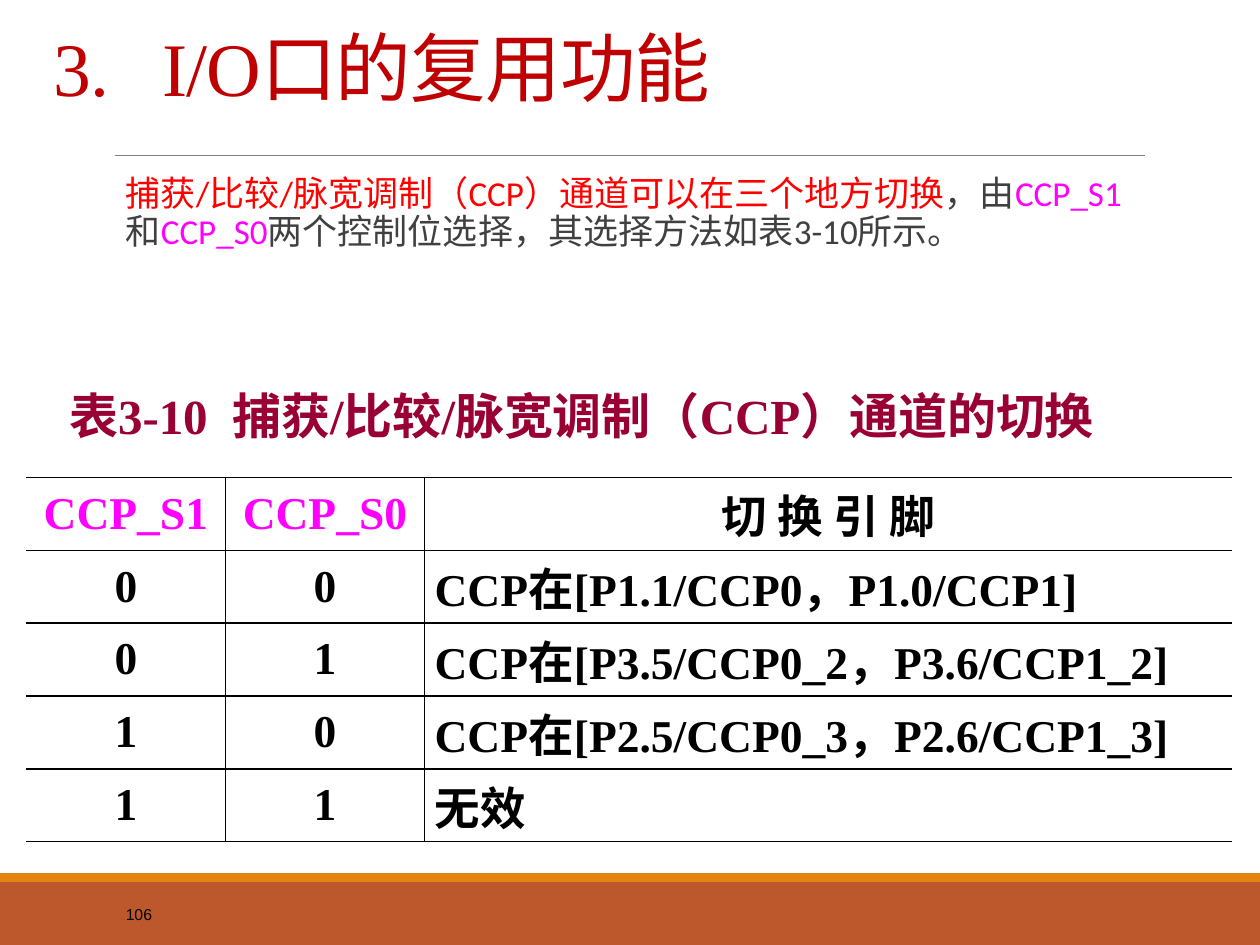
from lxml.etree import SubElement
from pptx import Presentation
from pptx.dml.color import RGBColor
from pptx.enum.shapes import MSO_CONNECTOR as Connector, MSO_SHAPE as Preset
from pptx.enum.text import MSO_ANCHOR as Anchor, PP_ALIGN as Align
from pptx.oxml.ns import qn
from pptx.util import Inches, Pt

COLORS = {
    "band": "BD582C", "stripe": "E48312", "rule": "808080",
    "title": "C00000", "caption": "990033", "body": "404040",
    "red": "FF0000", "magenta": "FF00FF", "black": "000000",
}
SERIF = "Times New Roman"
HEADERS = ["CCP_S1", "CCP_S0", "切 换 引 脚"]
PINS = [
    "CCP在[P1.1/CCP0，P1.0/CCP1]",
    "CCP在[P3.5/CCP0_2，P3.6/CCP1_2]",
    "CCP在[P2.5/CCP0_3，P2.6/CCP1_3]",
    "无效",
]


def rgb(name):
    return RGBColor.from_string(COLORS[name])


def add_run(paragraph, text, size, font, color, bold=False):
    run = paragraph.add_run()
    run.text = text
    run.font.size = Pt(size)
    run.font.name = font
    run.font.bold = bold
    run.font.color.rgb = rgb(color)
    return run


def add_text(slide, box, anchor, side_insets=(0.1, 0.1)):
    shape = slide.shapes.add_textbox(*map(Inches, box))
    frame = shape.text_frame
    frame.word_wrap = True
    frame.vertical_anchor = anchor
    frame.margin_left, frame.margin_right = map(Inches, side_insets)
    return frame.paragraphs[0]


def add_band(slide, top, height, color):
    shape = slide.shapes.add_shape(
        Preset.RECTANGLE, 0, Inches(top), Inches(10), Inches(height))
    shape.shadow.inherit = False
    shape.fill.solid()
    shape.fill.fore_color.rgb = rgb(color)
    shape.line.fill.background()


def add_rule(slide):
    line = slide.shapes.add_connector(
        Connector.STRAIGHT, Inches(0.91), Inches(1.23), Inches(9.09), Inches(1.23))
    line.line.color.rgb = rgb("rule")
    line.line.width = Pt(0.5)
    SubElement(line._element.spPr, qn("a:effectLst"))


def set_borders(cell, visible):
    properties = cell._tc.get_or_add_tcPr()
    for side in "LRTB":
        line = SubElement(properties, qn(f"a:ln{side}"), w=str(Pt(1)))
        if side in visible:
            fill = SubElement(line, qn("a:solidFill"))
            SubElement(fill, qn("a:srgbClr"), val=COLORS["black"])
        else:
            SubElement(line, qn("a:noFill"))


def fill_cell(cell, text, color, align, borders):
    set_borders(cell, borders)
    cell.fill.background()
    cell.vertical_anchor = Anchor.MIDDLE
    cell.margin_left = cell.margin_right = Inches(0.08)
    cell.margin_top = cell.margin_bottom = 0
    paragraph = cell.text_frame.paragraphs[0]
    paragraph.alignment = align
    add_run(paragraph, text, 26, SERIF, color, True)


def add_pin_table(slide):
    rows = [HEADERS] + [[*f"{i:02b}", pin] for i, pin in enumerate(PINS)]
    table = slide.shapes.add_table(
        len(rows), 3, Inches(0.21), Inches(3.79), Inches(9.57), Inches(2.89)).table
    table.first_row = table.horz_banding = False
    for column, width in zip(table.columns, (1.58, 1.58, 6.41)):
        column.width = Inches(width)
    for r, values in enumerate(rows):
        for c, text in enumerate(values):
            color = "magenta" if r == 0 and c < 2 else "black"
            align = Align.JUSTIFY if r > 0 and c == 2 else Align.CENTER
            fill_cell(table.cell(r, c), text, color, align, ("RTB", "LRTB", "LTB")[c])


def add_title(slide):
    paragraph = add_text(slide, (0.33, 0.23, 9, 0.71), Anchor.BOTTOM)
    tabs = SubElement(paragraph._p.get_or_add_pPr(), qn("a:tabLst"))
    SubElement(tabs, qn("a:tab"), pos=str(Inches(0.86)), algn="l")
    paragraph.line_spacing = 0.85
    run = add_run(paragraph, "3.\tI/O口的复用功能", 43.2, SERIF, "title")
    run.font._element.set("spc", "-50")


def add_body(slide):
    paragraph = add_text(slide, (0.9, 1.35, 8.25, 5.07), Anchor.TOP, (0.1, 0))
    paragraph.line_spacing = 0.9
    for text, color in (
        ("捕获/比较/脉宽调制（CCP）通道可以在三个地方切换", "red"),
        ("，由", "body"),
        ("CCP_S1", "magenta"),
        ("和", "body"),
        ("CCP_S0", "magenta"),
        ("两个控制位选择，其选择方法如表3-10所示。", "body"),
    ):
        add_run(paragraph, text, 20, "Calibri", color)


def add_caption(slide):
    paragraph = add_text(slide, (0.47, 3.01, 8.45, 0.57), Anchor.MIDDLE, (0.02, 0.18))
    paragraph.alignment = Align.CENTER
    add_run(paragraph, "表3-10  捕获/比较/脉宽调制（CCP）通道的切换", 28, SERIF, "caption", True)


def add_page_number(slide):
    paragraph = add_text(slide, (0.9, 7.06, 2.03, 0.4), Anchor.MIDDLE)
    add_run(paragraph, "106", 9, "Arial", "black")


def main():
    presentation = Presentation()
    presentation.slide_width = Inches(10)
    presentation.slide_height = Inches(7.5)
    slide = presentation.slides.add_slide(presentation.slide_layouts[6])
    add_band(slide, 7, 0.5, "band")
    add_band(slide, 6.93, 0.07, "stripe")
    add_rule(slide)
    add_body(slide)
    add_caption(slide)
    add_pin_table(slide)
    add_page_number(slide)
    add_title(slide)
    presentation.save("out.pptx")


if __name__ == "__main__":
    main()
